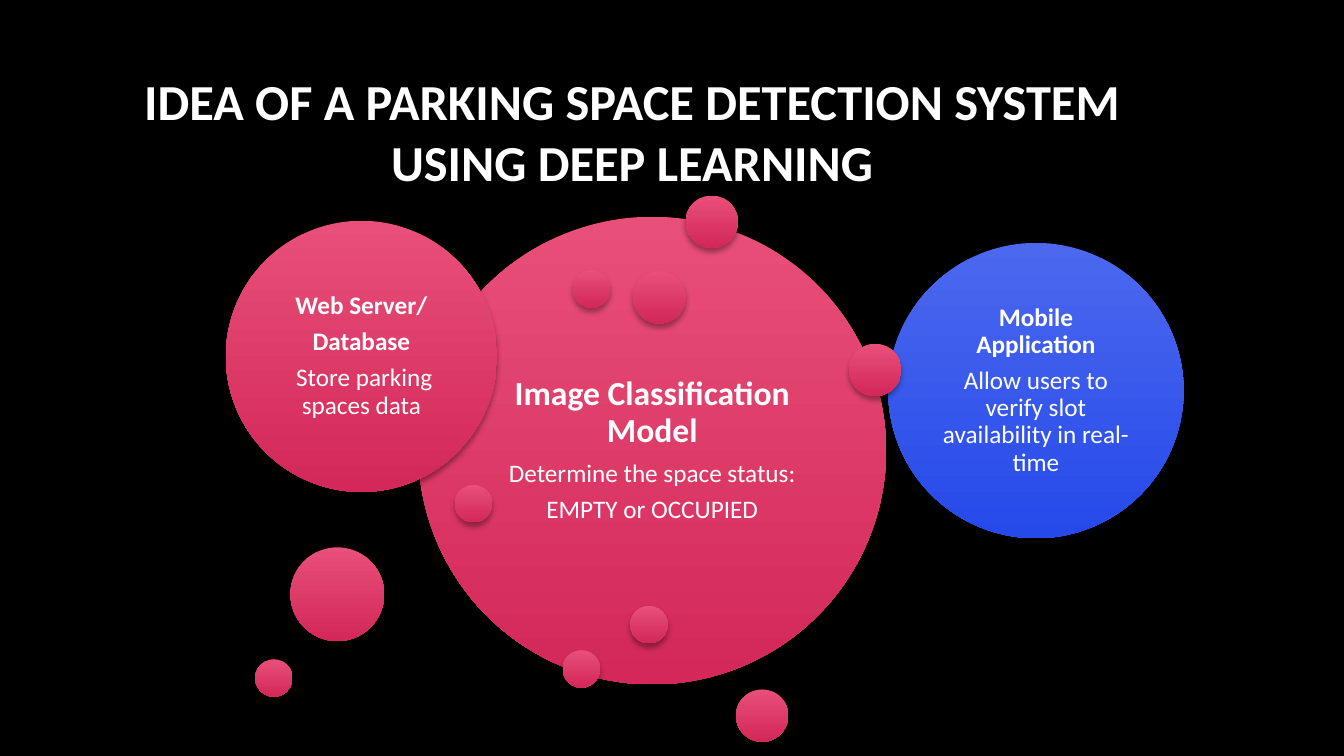
from lxml.etree import SubElement
from pptx import Presentation
from pptx.dml.color import RGBColor as RGB
from pptx.enum.shapes import MSO_SHAPE as SHAPE
from pptx.enum.text import MSO_ANCHOR as ANCHOR, PP_ALIGN as ALIGN
from pptx.oxml.ns import qn
from pptx.util import Inches, Pt

THEME = {
    "font": "Calibri", "text": "FFFFFF", "back": "000000", "shadow": "000000",
    "pink": ("E84F79", "D32859"), "blue": ("4B68EE", "264AEA"),
    "title": 36, "head": 24, "body": 18,
}

prs = Presentation()
prs.slide_width, prs.slide_height = Inches(13.33), Inches(7.5)
COL, ROW = prs.slide_width / 100, prs.slide_height / 100
s = prs.slides.add_slide(prs.slide_layouts[6])
s.background.fill.solid()
s.background.fill.fore_color.rgb = RGB.from_string(THEME["back"])


def write(tf, paras, inset, line, gap):
    frame = {"word_wrap": True, "vertical_anchor": ANCHOR.MIDDLE}
    for side in ("left", "right", "top", "bottom"):
        frame[f"margin_{side}"] = int(inset * COL)
    for name, value in frame.items():
        setattr(tf, name, value)
    for i, (text, size, bold) in enumerate(paras):
        p = tf.paragraphs[0] if i == 0 else tf.add_paragraph()
        layout = {"alignment": ALIGN.CENTER, "line_spacing": line,
                  "space_before": Pt(0), "space_after": Pt(gap * THEME[size])}
        for name, value in layout.items():
            setattr(p, name, value)
        r = p.add_run()
        r.text = text
        look = {"name": THEME["font"], "size": Pt(THEME[size]), "bold": bold}
        for name, value in look.items():
            setattr(r.font, name, value)
        r.font.color.rgb = RGB.from_string(THEME["text"])


def circle(x, y, d, colors):
    sp = s.shapes.add_shape(SHAPE.OVAL, int(x * COL), int(y * ROW), int(d * COL), int(d * COL))
    sp.fill.gradient()
    sp.fill.gradient_angle = 270
    for stop, color, pos in zip(sp.fill.gradient_stops, THEME[colors], (0, 1)):
        stop.color.rgb = RGB.from_string(color)
        stop.position = pos
    sp.line.fill.background()
    sp.shadow.inherit = False
    effects = sp.element.spPr.find(qn("a:effectLst"))
    shadow = SubElement(effects, qn("a:outerShdw"), blurRad=str(Pt(4)), dist=str(Pt(3)),
                        dir="5400000", algn="ctr", rotWithShape="0")
    tint = SubElement(shadow, qn("a:srgbClr"), val=THEME["shadow"])
    SubElement(tint, qn("a:alpha"), val="35000")
    return sp


MODEL = [("Image Classification Model", "head", True),
         ("Determine the space status:", "body", False),
         ("EMPTY or OCCUPIED", "body", False)]
SERVER = [("Web Server/", "body", True), ("Database", "body", True),
          (" Store parking spaces data", "body", False)]
MOBILE = [("Mobile Application", "body", True),
          ("Allow users to verify slot availability in real-time", "body", False)]
SMALL, MEDIUM, LARGE = 2.8, 3.9, 6.98

bubbles = [
    (31.13, 28.67, 34.8, "pink", MODEL, 0.75),
    (51.01, 25.87, MEDIUM, "pink", None, 0),
    (41.86, 86, SMALL, "pink", None, 0),
    (68.19, 53.87, SMALL, "pink", None, 0),
    (54.76, 91.2, MEDIUM, "pink", None, 0),
    (42.61, 35.73, SMALL, "pink", None, 0),
    (33.83, 64.13, SMALL, "pink", None, 0),
    (16.8, 29.2, 20.18, "pink", SERVER, 0.53),
    (47.11, 35.87, MEDIUM, "pink", None, 0),
    (21.61, 72.4, LARGE, "pink", None, 0),
    (66.09, 32.13, 21.98, "blue", MOBILE, 0.53),
    (63.17, 45.47, MEDIUM, "pink", None, 0),
    (18.98, 87.2, SMALL, "pink", None, 0),
    (46.89, 80.13, SMALL, "pink", None, 0),
]
for x, y, d, colors, paras, inset in bubbles:
    sp = circle(x, y, d, colors)
    if paras:
        write(sp.text_frame, paras, inset, 0.9, 0.35)

title = s.shapes.add_textbox(int(5.48 * COL), int(6.67 * ROW), int(83.12 * COL), int(21.2 * ROW))
heading = "IDEA OF A PARKING SPACE DETECTION SYSTEM USING DEEP LEARNING"
write(title.text_frame, [(heading, "title", True)], 0.75, 1.0, 0)

prs.save("out.pptx")
